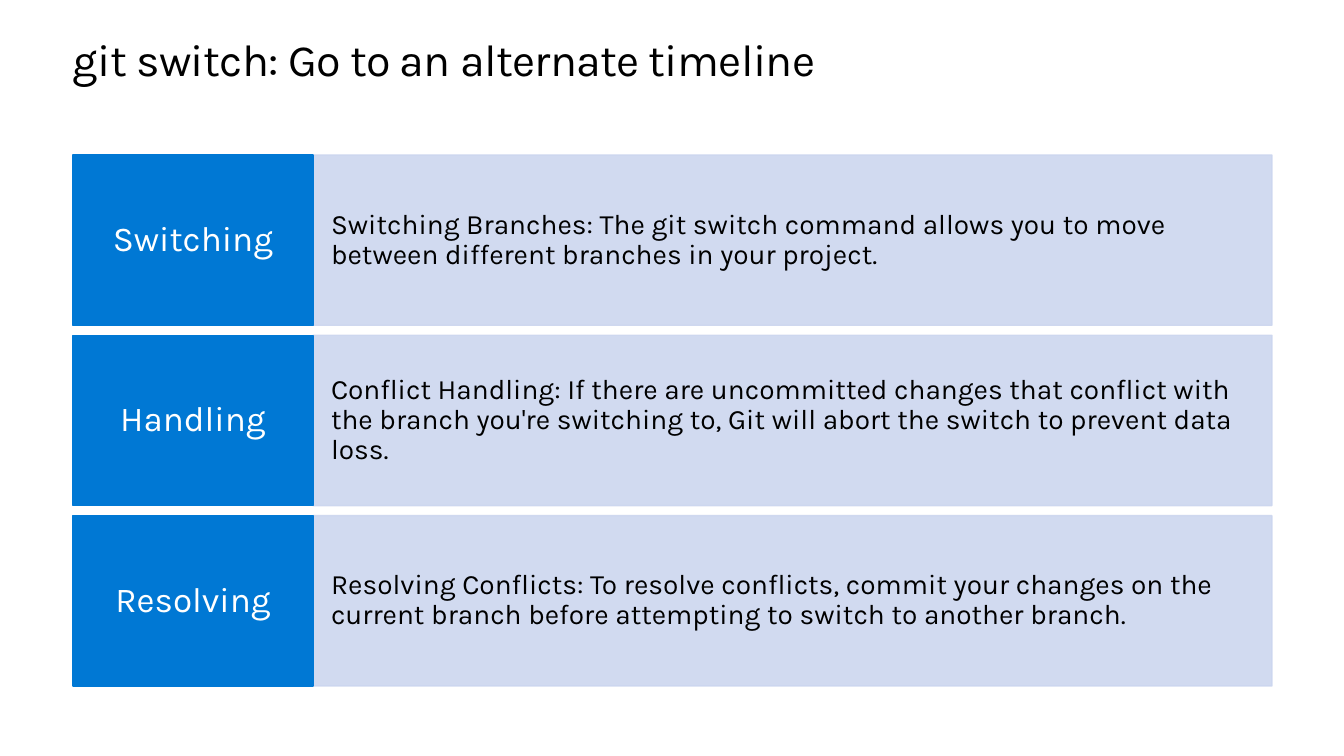
from lxml import etree
from pptx import Presentation, util as u
from pptx.dml.color import RGBColor
from pptx.enum import shapes, text
from pptx.oxml.ns import qn

PX = 914400 / 100.8
FONT = "Karla"
BLUE, PALE, BLACK, WHITE = "0078D4", "CCD6EF", "000000", "FFFFFF"

TITLE = "git switch: Go to an alternate timeline"
TOPICS = [
    ("Switching",
     "Switching Branches: The git switch command allows you to move "
     "between different branches in your project."),
    ("Handling",
     "Conflict Handling: If there are uncommitted changes that conflict with "
     "the branch you're switching to, Git will abort the switch to prevent "
     "data loss."),
    ("Resolving",
     "Resolving Conflicts: To resolve conflicts, commit your changes on the "
     "current branch before attempting to switch to another branch."),
]


def px(length):
    return u.Emu(round(length * PX))


def paint(color_format, color):
    color_format.rgb = RGBColor.from_string(color)


def write(frame, words, size, color, align, spacing, inset_x=0, inset_y=0):
    """Put one run of text into the frame and return the run."""
    frame.word_wrap = True
    frame.margin_left = frame.margin_right = px(inset_x)
    frame.margin_top = frame.margin_bottom = px(inset_y)
    paragraph = frame.paragraphs[0]
    paragraph.alignment = align
    paragraph.line_spacing = spacing
    run = paragraph.add_run()
    run.text = words
    run.font.name = FONT
    run.font.size = u.Pt(size)
    paint(run.font.color, color)
    return run


def add_title(slide, left, top, width, height):
    title = slide.shapes.add_textbox(px(left), px(top), px(width), px(height))
    title.fill.solid()
    paint(title.fill.fore_color, WHITE)
    run = write(title.text_frame, TITLE, 32, BLACK,
                text.PP_ALIGN.LEFT, u.Pt(36.2))
    run.font._element.set("spc", "-50")


def add_panel(slide, left, top, width, height, color, opacity=100):
    """Add a filled rectangle with an outline of the same colour."""
    panel = slide.shapes.add_shape(shapes.MSO_SHAPE.RECTANGLE,
                                   px(left), px(top), px(width), px(height))
    panel.shadow.inherit = False
    panel.fill.solid()
    paint(panel.fill.fore_color, color)
    panel.line.width = u.Pt(1)
    paint(panel.line.color, color)
    if opacity < 100:
        for srgb in panel._element.spPr.iter(qn("a:srgbClr")):
            etree.SubElement(srgb, qn("a:alpha"), val=str(opacity * 1000))
    panel.text_frame.vertical_anchor = text.MSO_ANCHOR.MIDDLE
    return panel.text_frame


def add_topic(slide, left, top, width, height, label, detail):
    label_width = 240
    detail_frame = add_panel(slide, left + label_width, top,
                             width - label_width, height, PALE, 90)
    write(detail_frame, detail, 20, BLACK, text.PP_ALIGN.LEFT, 0.9, 18, 43)
    label_frame = add_panel(slide, left, top, label_width, height, BLUE)
    write(label_frame, label, 25, WHITE, text.PP_ALIGN.CENTER, 0.9, 13, 17)


def add_topics(slide, left, top, width, height, gap=10):
    row_height = (height - gap * (len(TOPICS) - 1)) / len(TOPICS)
    for row, (label, detail) in enumerate(TOPICS):
        add_topic(slide, left, top + row * (row_height + gap),
                  width, row_height, label, detail)


def main():
    deck = Presentation()
    deck.slide_width, deck.slide_height = px(1344), px(756)
    slide = deck.slides.add_slide(deck.slide_layouts[6])
    add_title(slide, 73, 35, 1199, 50)
    add_topics(slide, 73, 155, 1199, 531)
    deck.save("out.pptx")


if __name__ == "__main__":
    main()
